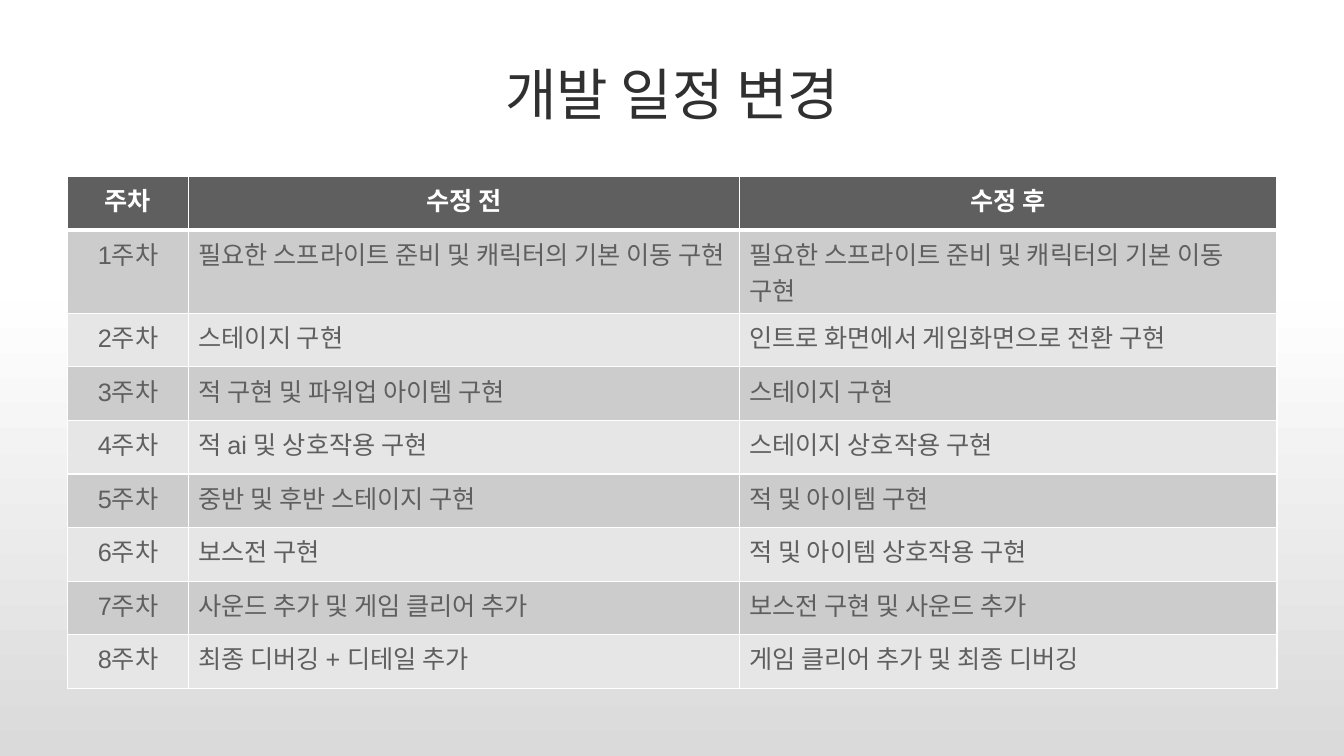
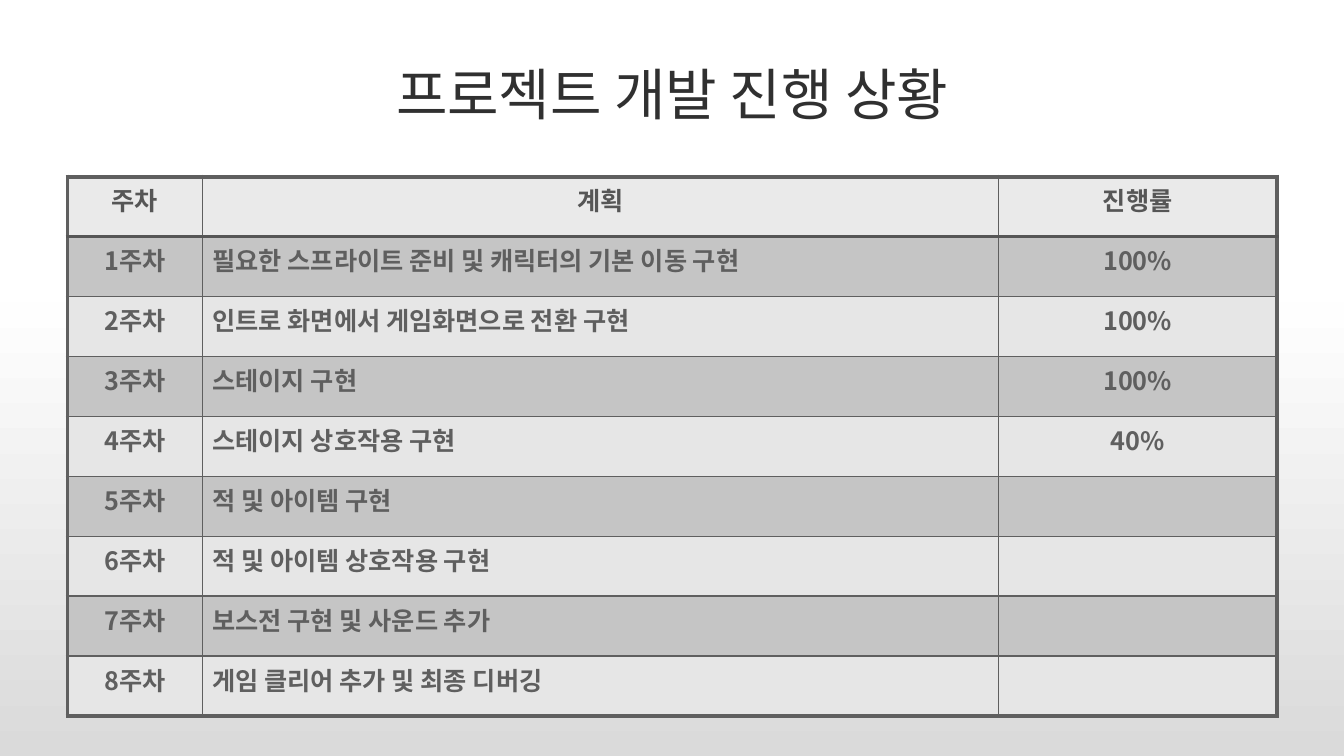
import copy

import lxml.etree
import pptx
import pptx.dml.color
import pptx.enum.text
import pptx.oxml.ns
import pptx.util

Cm = pptx.util.Cm
Pt = pptx.util.Pt
qn = pptx.oxml.ns.qn
CENTER = pptx.enum.text.PP_ALIGN.CENTER
LEFT = pptx.enum.text.PP_ALIGN.LEFT

KOREAN_FONT = "Noto Sans CJK KR"
WHITE = "FFFFFF"
GRAY = "5F5F5F"
DARK = "565656"
MARGIN = 1.7
CONTENT_WIDTH = 30.48


def color(code):
    return pptx.dml.color.RGBColor.from_string(code)


def write_text(frame, text, size=18, font="Arial", fill=GRAY, bold=False, align=LEFT):
    para = frame.paragraphs[0]
    para.alignment = align
    span = para.add_run()
    span.text = text
    span.font.size = Pt(size)
    span.font.name = font
    span.font.bold = bold
    span.font.color.rgb = color(fill)
    east_asian = lxml.etree.Element(qn("a:ea"), typeface=KOREAN_FONT)
    span.font._element.find(qn("a:latin")).addnext(east_asian)


weeks = [f"{number}주차" for number in range(1, 9)]
old_plan = [
    "필요한 스프라이트 준비 및 캐릭터의 기본 이동 구현",
    "스테이지 구현",
    "적 구현 및 파워업 아이템 구현",
    "적 ai 및 상호작용 구현",
    "중반 및 후반 스테이지 구현",
    "보스전 구현",
    "사운드 추가 및 게임 클리어 추가",
    "최종 디버깅 + 디테일 추가",
]
new_plan = [
    "필요한 스프라이트 준비 및 캐릭터의 기본 이동 구현",
    "인트로 화면에서 게임화면으로 전환 구현",
    "스테이지 구현",
    "스테이지 상호작용 구현",
    "적 및 아이템 구현",
    "적 및 아이템 상호작용 구현",
    "보스전 구현 및 사운드 추가",
    "게임 클리어 추가 및 최종 디버깅",
]
progress = ["100%", "100%", "100%", "40%", "", "", "", ""]

# Lines are (colour, width in points); body_fills alternate down the rows.
schedules = [
    {
        "title": "개발 일정 변경",
        "rows": [("주차", "수정 전", "수정 후"), *zip(weeks, old_plan, new_plan)],
        "widths": [3.05, 13.88, 13.55],
        "row_height": 1.35,
        "centered": {0},
        "font": "Arial",
        "body_bold": False,
        "header_fill": GRAY,
        "header_text": WHITE,
        "body_fills": ["CCCCCC", "E6E6E6"],
        "outer_line": (WHITE, 1),
        "inner_line": (WHITE, 1),
        "header_line": (WHITE, 3),
    },
    {
        "title": "프로젝트 개발 진행 상황",
        "rows": [("주차", "계획", "진행률"), *zip(weeks, new_plan, progress)],
        "widths": [3.4, 20.06, 7.02],
        "row_height": 1.51,
        "centered": {0, 2},
        "font": KOREAN_FONT,
        "body_bold": True,
        "header_fill": "EAEAEA",
        "header_text": DARK,
        "body_fills": ["C5C5C5", "E6E6E6"],
        "outer_line": (GRAY, 3.15),
        "inner_line": (GRAY, 1),
        "header_line": (DARK, 2.79),
    },
]

deck = pptx.Presentation()
deck.slide_width = Cm(33.87)
deck.slide_height = Cm(19.05)

# Shared background: white fading to gray at the bottom
background = deck.slide_master.background.fill
background.gradient()
background.gradient_angle = 270
stop_list = next(deck.slide_master.element.iter(qn("a:gsLst")))
stop_list.append(copy.deepcopy(stop_list[-1]))
shades = [(0, WHITE), (0.4, "FEFEFE"), (1, "DADADA")]
for stop, (position, shade) in zip(background.gradient_stops, shades):
    stop.position = position
    stop.color.rgb = color(shade)

for schedule in schedules:
    page = deck.slides.add_slide(deck.slide_layouts[5])
    title = page.shapes.title
    title.left, title.top = Cm(MARGIN), Cm(0.76)
    title.width, title.height = Cm(CONTENT_WIDTH), Cm(3.18)
    title.text_frame.vertical_anchor = pptx.enum.text.MSO_ANCHOR.MIDDLE
    write_text(title.text_frame, schedule["title"], size=40, fill="303030", align=CENTER)

    rows, widths = schedule["rows"], schedule["widths"]
    table = page.shapes.add_table(
        len(rows), len(widths), Cm(MARGIN), Cm(4.45),
        Cm(CONTENT_WIDTH), Cm(schedule["row_height"] * len(rows)),
    ).table
    for column, width in zip(table.columns, widths):
        column.width = Cm(width)

    outer, inner = schedule["outer_line"], schedule["inner_line"]
    across = [outer, schedule["header_line"], *[inner] * (len(rows) - 2), outer]
    down = [outer, *[inner] * (len(widths) - 1), outer]

    for row_index, row in enumerate(rows):
        table.rows[row_index].height = Cm(schedule["row_height"])
        is_header = row_index == 0
        for column_index, text in enumerate(row):
            cell = table.cell(row_index, column_index)
            properties = cell._tc.get_or_add_tcPr()
            borders = {
                "a:lnL": down[column_index],
                "a:lnR": down[column_index + 1],
                "a:lnT": across[row_index],
                "a:lnB": across[row_index + 1],
            }
            for side, (shade, width) in borders.items():
                line = lxml.etree.SubElement(properties, qn(side), w=str(Pt(width)))
                solid = lxml.etree.SubElement(line, qn("a:solidFill"))
                lxml.etree.SubElement(solid, qn("a:srgbClr"), val=shade)

            body_fill = schedule["body_fills"][(row_index - 1) % 2]
            cell.fill.solid()
            cell.fill.fore_color.rgb = color(schedule["header_fill"] if is_header else body_fill)
            if text:
                write_text(
                    cell.text_frame, text,
                    font=schedule["font"],
                    fill=schedule["header_text"] if is_header else GRAY,
                    bold=is_header or schedule["body_bold"],
                    align=CENTER if is_header or column_index in schedule["centered"] else LEFT,
                )

deck.save("out.pptx")
